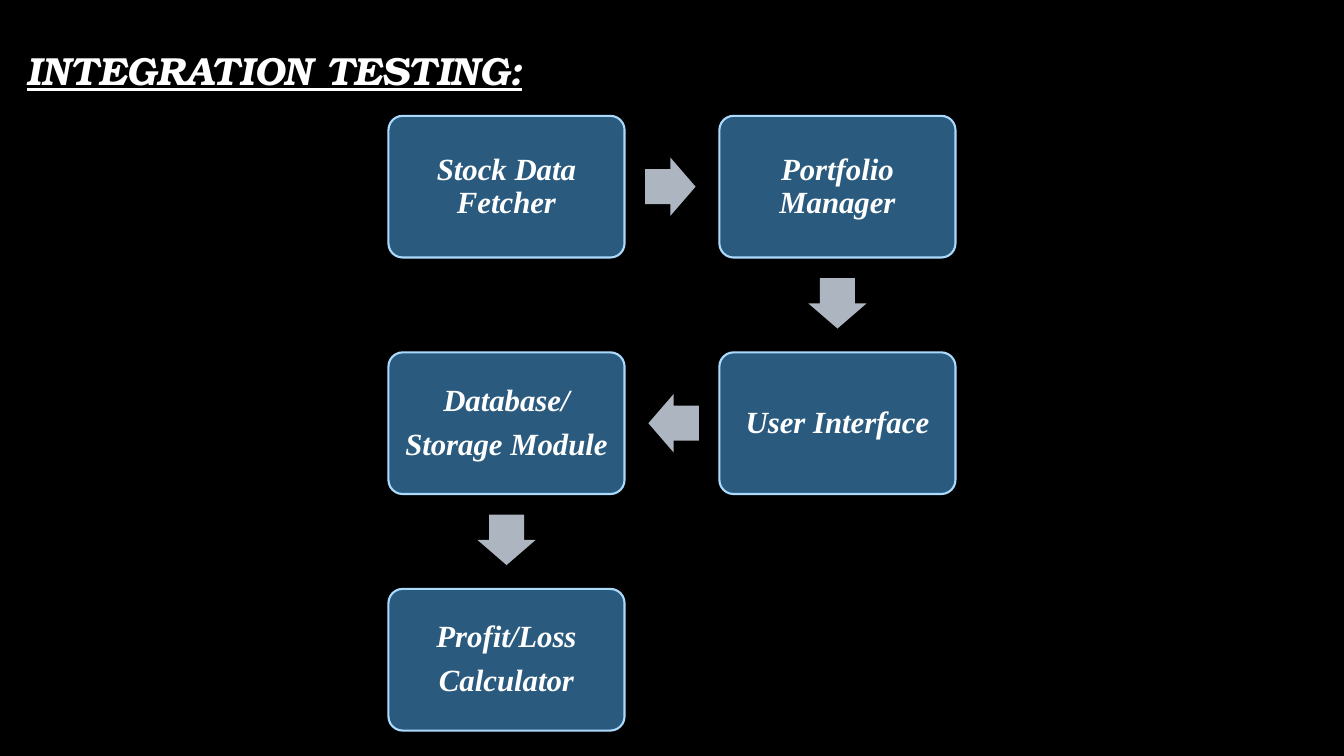
from pptx import Presentation
from pptx.dml.color import RGBColor
from pptx.enum.shapes import MSO_SHAPE
from pptx.enum.text import MSO_ANCHOR, PP_ALIGN
from pptx.util import Cm, Pt

ROUNDED, ARROW = MSO_SHAPE.ROUNDED_RECTANGLE, MSO_SHAPE.RIGHT_ARROW
MIDDLE, CENTER, LEFT = MSO_ANCHOR.MIDDLE, PP_ALIGN.CENTER, PP_ALIGN.LEFT

TITLE = "INTEGRATION TESTING:"
# Modules in flow order: text, column, row
MODULES = [
    ("Stock Data Fetcher", 0, 0),
    ("Portfolio Manager", 1, 0),
    ("User Interface", 1, 1),
    ("Database/\nStorage Module", 0, 1),
    ("Profit/Loss\nCalculator", 0, 2),
]
ROTATIONS = {(1, 0): 0, (0, 1): 90, (-1, 0): 180}

THEME = {
    "background": RGBColor(0x00, 0x00, 0x00),
    "text": RGBColor(0xFF, 0xFF, 0xFF),
    "box": RGBColor(0x2A, 0x5B, 0x7F),
    "border": RGBColor(0xAB, 0xDA, 0xFC),
    "arrow": RGBColor(0xAD, 0xB5, 0xC0),
    "title_font": "TeX Gyre Bonum",
    "title_size": Pt(28),
    "box_font": "Times New Roman",
    "box_size": Pt(22),
}

# Lengths in centimetres
GRID_LEFT, GRID_TOP = 9.79, 2.92
COLUMN_STEP, ROW_STEP = 8.34, 5.96
BOX_WIDTH, BOX_HEIGHT = 5.95, 3.57
ARROW_LENGTH, ARROW_BREADTH = 1.27, 1.47
ARROW_SETBACK = 0.04
BOX_INSET = 0.23


def write_text(shape, text, role, alignment):
    frame = shape.text_frame
    frame.text = text
    frame.word_wrap = True
    frame.vertical_anchor = MIDDLE
    for paragraph in frame.paragraphs:
        paragraph.alignment = alignment
        paragraph.line_spacing = 0.9
        for run in paragraph.runs:
            font = run.font
            font.name = THEME[role + "_font"]
            font.size = THEME[role + "_size"]
            font.color.rgb = THEME["text"]
            font.bold = font.italic = True
    return frame


def add_filled(slide, kind, center, width, height, color):
    """Add a flat preset shape around a centre point."""
    x, y = center
    shape = slide.shapes.add_shape(
        kind, Cm(x - width / 2), Cm(y - height / 2), Cm(width), Cm(height))
    shape.shadow.inherit = False
    shape.fill.solid()
    shape.fill.fore_color.rgb = color
    return shape


def box_center(column, row):
    return (GRID_LEFT + column * COLUMN_STEP + BOX_WIDTH / 2,
            GRID_TOP + row * ROW_STEP + BOX_HEIGHT / 2)


def add_title(slide):
    box = slide.shapes.add_textbox(Cm(0.43), Cm(0), Cm(28.75), Cm(3.68))
    frame = write_text(box, TITLE, "title", LEFT)
    frame.paragraphs[0].runs[0].font.underline = True


def add_module(slide, text, column, row):
    box = add_filled(slide, ROUNDED, box_center(column, row),
                     BOX_WIDTH, BOX_HEIGHT, THEME["box"])
    box.adjustments[0] = 0.1
    box.line.color.rgb = THEME["border"]
    box.line.width = Pt(1.5)
    frame = write_text(box, text, "box", CENTER)
    frame.margin_left = frame.margin_right = Cm(BOX_INSET)
    frame.margin_top = frame.margin_bottom = Cm(BOX_INSET)
    for paragraph in frame.paragraphs:
        paragraph.space_after = Pt(7.7)


def add_flow_arrow(slide, start, end):
    """Add an arrow just short of halfway between two grid cells."""
    direction = (end[0] - start[0], end[1] - start[1])
    center = [(a + b) / 2 - ARROW_SETBACK * step for a, b, step
              in zip(box_center(*start), box_center(*end), direction)]
    arrow = add_filled(slide, ARROW, center,
                       ARROW_LENGTH, ARROW_BREADTH, THEME["arrow"])
    arrow.adjustments[0] = 0.6
    arrow.adjustments[1] = 0.5
    arrow.line.fill.background()
    arrow.rotation = ROTATIONS[direction]


def main():
    presentation = Presentation()
    presentation.slide_width = Cm(33.87)
    presentation.slide_height = Cm(19.05)
    slide = presentation.slides.add_slide(presentation.slide_layouts[6])
    slide.background.fill.solid()
    slide.background.fill.fore_color.rgb = THEME["background"]

    add_title(slide)
    for module in MODULES:
        add_module(slide, *module)
    for start, end in zip(MODULES, MODULES[1:]):
        add_flow_arrow(slide, start[1:], end[1:])
    presentation.save("out.pptx")


if __name__ == "__main__":
    main()
